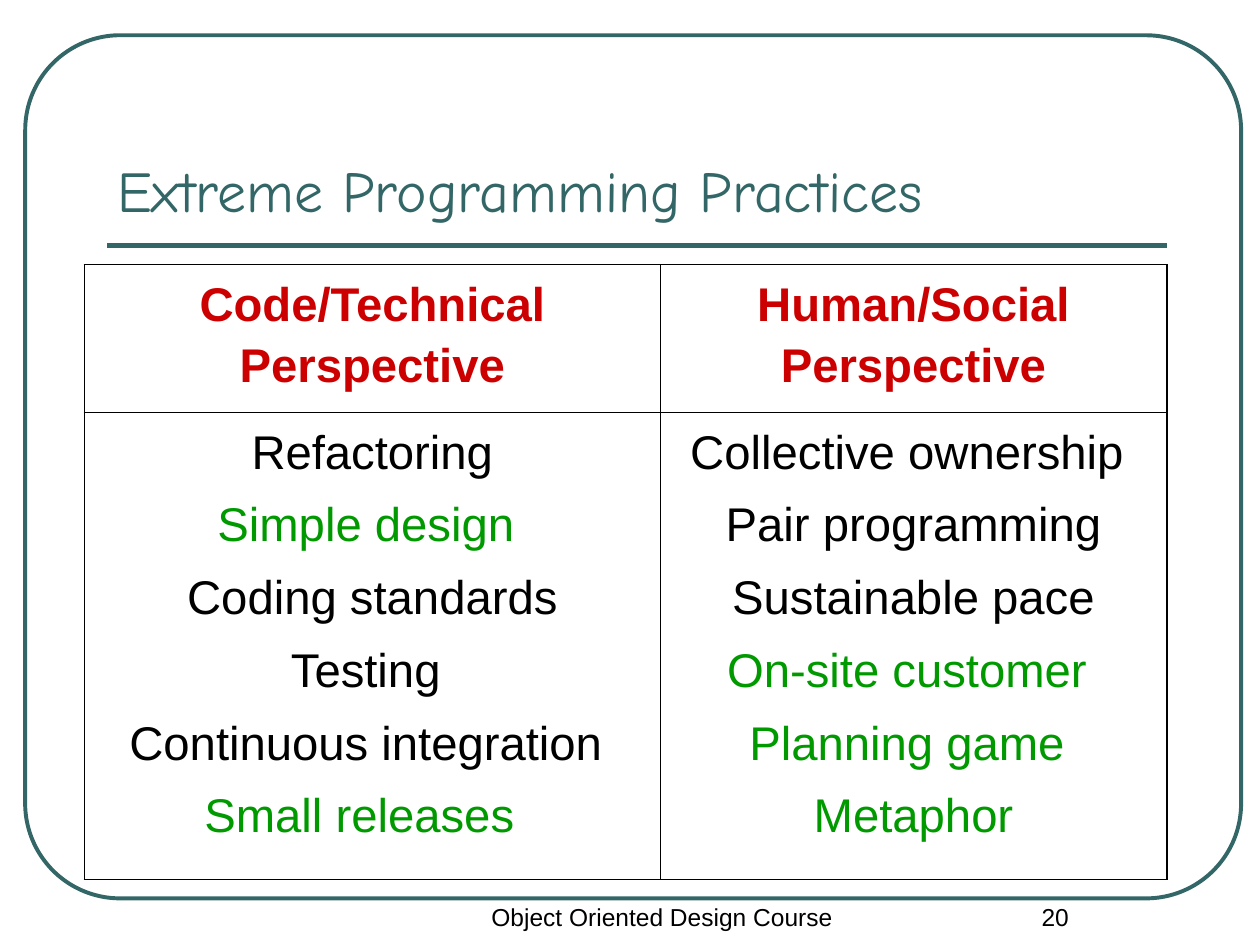
from dataclasses import dataclass

from pptx import Presentation
from pptx.dml.color import RGBColor
from pptx.enum.shapes import MSO_CONNECTOR, MSO_SHAPE
from pptx.enum.text import MSO_ANCHOR, MSO_AUTO_SIZE, PP_ALIGN
from pptx.oxml.ns import qn
from pptx.util import Inches, Pt
from lxml import etree

ROUNDED = MSO_SHAPE.ROUNDED_RECTANGLE
STRAIGHT = MSO_CONNECTOR.STRAIGHT
BOTTOM, TOP = MSO_ANCHOR.BOTTOM, MSO_ANCHOR.TOP
LEFT, CENTER = PP_ALIGN.LEFT, PP_ALIGN.CENTER
NO_AUTOFIT = MSO_AUTO_SIZE.NONE
TITLE_ONLY = 5


@dataclass(frozen=True)
class Theme:
    teal: str = "336666"
    red: str = "CC0000"
    green: str = "009900"
    black: str = "000000"
    title_font: str = "Comic Neue"
    body_font: str = "Arial"
    title_size: float = 33
    table_size: float = 27
    footer_size: float = 14
    outer_border: float = 1.08
    inner_border: float = 0.45


THEME = Theme()

# Each column: heading, then practices with True where highlighted
PERSPECTIVES = [
    ("Code/Technical Perspective", [
        ("Refactoring", False),
        ("Simple design ", True),
        ("Coding standards", False),
        ("Testing ", False),
        ("Continuous integration ", False),
        ("Small releases  ", True),
    ]),
    ("Human/Social Perspective", [
        ("Collective ownership ", False),
        ("Pair programming", False),
        ("Sustainable pace", False),
        ("On-site customer ", True),
        ("Planning game ", True),
        ("Metaphor", True),
    ]),
]


def add_run(paragraph, text, size, color, font=THEME.body_font, bold=False):
    run = paragraph.add_run()
    run.text = text
    run.font.name = font
    run.font.size = Pt(size)
    run.font.bold = bold
    run.font.color.rgb = RGBColor.from_string(color)


def add_frame(slide, left, top, width, height):
    frame = slide.shapes.add_shape(ROUNDED, left, top, width, height)
    frame.adjustments[0] = 0.11
    frame.shadow.inherit = False
    frame.fill.background()
    frame.line.color.rgb = RGBColor.from_string(THEME.teal)
    frame.line.width = Pt(2.25)


def add_title_rule(slide, left, top, width):
    rule = slide.shapes.add_connector(STRAIGHT, left, top, left + width, top)
    rule.line.color.rgb = RGBColor.from_string(THEME.teal)
    rule.line.width = Pt(3)
    etree.SubElement(rule._element.spPr, qn("a:effectLst"))


def place_title(slide, text, left, top, width, height):
    title = slide.shapes.title
    title.left, title.top, title.width, title.height = left, top, width, height
    text_frame = title.text_frame
    text_frame.auto_size = NO_AUTOFIT
    text_frame.vertical_anchor = BOTTOM
    paragraph = text_frame.paragraphs[0]
    paragraph.alignment = LEFT
    add_run(paragraph, text, THEME.title_size, THEME.teal, THEME.title_font)


def set_borders(cell, widths):
    """Draw the cell's left, right, top and bottom borders, in that order."""
    properties = cell._tc.get_or_add_tcPr()
    for side, width in zip("LRTB", widths):
        border = etree.SubElement(properties, qn(f"a:ln{side}"), w=str(Pt(width)))
        fill = etree.SubElement(border, qn("a:solidFill"))
        etree.SubElement(fill, qn("a:srgbClr"), val=THEME.black)


def fill_cell(cell, entries, bold=False):
    """Write one centred paragraph for each (text, colour) entry."""
    cell.fill.background()
    cell.vertical_anchor = TOP
    text_frame = cell.text_frame
    for index, (text, color) in enumerate(entries):
        paragraph = text_frame.add_paragraph() if index else text_frame.paragraphs[0]
        paragraph.alignment = CENTER
        paragraph.line_spacing = 1.15
        paragraph.space_before = Pt(6.8)
        add_run(paragraph, text, THEME.table_size, color, bold=bold)


def add_practices_table(slide, left, top, column_widths, row_heights):
    table = slide.shapes.add_table(
        len(row_heights), len(column_widths), left, top,
        sum(column_widths), sum(row_heights)).table
    table.first_row = table.horz_banding = False
    for row, height in zip(table.rows, row_heights):
        row.height = height
    last_row, last_column = len(row_heights) - 1, len(column_widths) - 1

    for c, (heading, practices) in enumerate(PERSPECTIVES):
        table.columns[c].width = column_widths[c]
        for r in range(len(row_heights)):
            on_edge = (c == 0, c == last_column, r == 0, r == last_row)
            set_borders(table.cell(r, c), [
                THEME.outer_border if edge else THEME.inner_border
                for edge in on_edge])
        fill_cell(table.cell(0, c), [(heading, THEME.red)], bold=True)
        fill_cell(table.cell(1, c), [
            (practice, THEME.green if highlighted else THEME.black)
            for practice, highlighted in practices])


def add_footer_text(slide, text, left, top, width, height):
    text_frame = slide.shapes.add_textbox(left, top, width, height).text_frame
    text_frame.word_wrap = True
    paragraph = text_frame.paragraphs[0]
    paragraph.alignment = CENTER
    add_run(paragraph, text, THEME.footer_size, THEME.black)


def main():
    presentation = Presentation()
    presentation.slide_width, presentation.slide_height = Inches(10), Inches(7.5)
    slide = presentation.slides.add_slide(presentation.slide_layouts[TITLE_ONLY])

    add_frame(slide, Inches(0.2), Inches(0.28), Inches(9.65), Inches(6.85))
    add_title_rule(slide, Inches(0.85), Inches(1.95), Inches(8.41))
    place_title(slide, "Extreme Programming Practices",
                Inches(0.83), Inches(0.58), Inches(8.42), Inches(1.25))
    add_practices_table(slide, Inches(0.67), Inches(2.1),
                        [Inches(4.57), Inches(4.02)],
                        [Inches(1.17), Inches(3.71)])
    footer_top, footer_height = Inches(7.11), Inches(0.5)
    add_footer_text(slide, "Object Oriented Design Course",
                    Inches(3.67), footer_top, Inches(3.17), footer_height)
    add_footer_text(slide, "20",
                    Inches(7.5), footer_top, Inches(1.75), footer_height)
    presentation.save("out.pptx")


if __name__ == "__main__":
    main()
